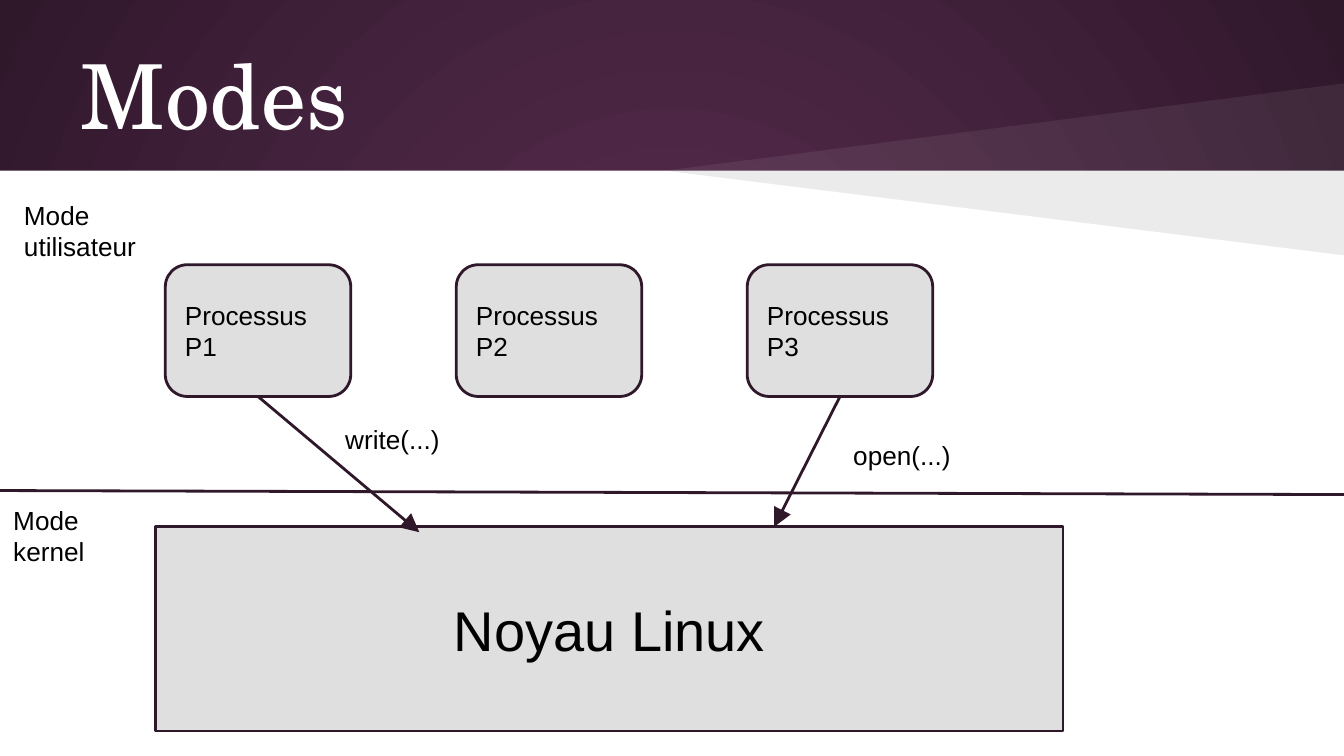
from dataclasses import dataclass

from lxml import etree
from pptx import Presentation
from pptx.dml.color import RGBColor
from pptx.enum.shapes import MSO_CONNECTOR, MSO_SHAPE
from pptx.enum.text import MSO_ANCHOR, MSO_AUTO_SIZE, PP_ALIGN
from pptx.oxml.ns import qn
from pptx.util import Inches, Pt

LEFT, CENTER = PP_ALIGN.LEFT, PP_ALIGN.CENTER
TOP, MIDDLE = MSO_ANCHOR.TOP, MSO_ANCHOR.MIDDLE
BOTTOM_SITE = 2


@dataclass(frozen=True)
class Theme:
    """Colours, fonts and sizes of the slide."""
    glow: str = "592D50"
    plum: str = "30182B"
    box: str = "DFDFDF"
    white: str = "FFFFFF"
    black: str = "000000"
    title_font: str = "TeX Gyre Schola"
    body_font: str = "Arial"
    title_size: int = 48
    kernel_size: int = 30
    body_size: int = 14
    line_width: float = 1.5


theme = Theme()


def write_text(sp, text, size=theme.body_size, font=theme.body_font,
               color=theme.black, align=LEFT, anchor=MIDDLE):
    """Put one formatted run into a shape."""
    tf = sp.text_frame
    tf.word_wrap = True
    tf.auto_size = MSO_AUTO_SIZE.NONE
    tf.vertical_anchor = anchor
    tf.margin_left = tf.margin_right = tf.margin_top = tf.margin_bottom = Inches(0.1)
    p = tf.paragraphs[0]
    p.alignment = align
    r = p.add_run()
    r.text = text
    r.font.size = Pt(size)
    r.font.name = font
    r.font.color.rgb = RGBColor.from_string(color)


def paint(sp, fill=None, line=None):
    """Set the fill and outline of a shape or connector, without shadow."""
    if line:
        sp.line.color.rgb = RGBColor.from_string(line)
        sp.line.width = Pt(theme.line_width)
    else:
        sp.line.fill.background()
    if fill:
        sp.fill.solid()
        sp.fill.fore_color.rgb = RGBColor.from_string(fill)
        sp.shadow.inherit = False
    else:
        etree.SubElement(sp.element.spPr, qn("a:effectLst"))


prs = Presentation()
prs.slide_width, prs.slide_height = Inches(10), Inches(10) * 9 // 16
s = prs.slides.add_slide(prs.slide_layouts[5])

# Radial background
bg = s.background.fill
bg.gradient()
for stop, color, position in zip(bg.gradient_stops, (theme.glow, theme.plum), (0, 1)):
    stop.color.rgb = RGBColor.from_string(color)
    stop.position = position
lin = next(s.element.iter(qn("a:lin")))
radial = etree.SubElement(lin.getparent(), qn("a:path"), path="circle")
etree.SubElement(radial, qn("a:fillToRect"), l="50000", t="50000", r="50000", b="50000")
lin.getparent().remove(lin)

# White body and the two translucent wedges
horizon = Inches(1.27)
body = s.shapes.add_shape(MSO_SHAPE.RECTANGLE, 0, horizon, prs.slide_width,
                          prs.slide_height - horizon)
paint(body, theme.white)
for tip_y, color, opacity in ((0.62, theme.white, 7), (1.9, theme.black, 8)):
    fb = s.shapes.build_freeform(Inches(10), horizon)
    fb.add_line_segments([(Inches(4.95), horizon), (Inches(10), Inches(tip_y))])
    wedge = fb.convert_to_shape()
    paint(wedge, color)
    srgb = next(wedge.element.spPr.iter(qn("a:srgbClr")))
    etree.SubElement(srgb, qn("a:alpha"), val=str(opacity * 1000))

# Title, brought in front of the backdrop
title = s.shapes.title
title.left, title.top, title.width, title.height = map(Inches, (0.5, 0.23, 9, 0.94))
write_text(title, "Modes", theme.title_size, theme.title_font, theme.white)
title.element.getparent().append(title.element)

# Processes
processes = []
for i in range(3):
    process = s.shapes.add_shape(MSO_SHAPE.ROUNDED_RECTANGLE, Inches(1.23 + i * 2.165),
                                 Inches(1.97), Inches(1.38), Inches(0.98))
    paint(process, theme.box, theme.plum)
    write_text(process, f"Processus P{i + 1}")
    processes.append(process)

# Kernel
kernel = s.shapes.add_shape(MSO_SHAPE.RECTANGLE, Inches(1.16), Inches(3.92),
                            Inches(6.75), Inches(1.52))
paint(kernel, theme.box, theme.plum)
write_text(kernel, "Noyau Linux", theme.kernel_size, align=CENTER)

# Boundary between the modes, then the system calls
for source, x1, y1, x2, y2 in ((None, 0, 3.65, 10.01, 3.68),
                               (processes[0], 1.92, 2.95, 3.12, 3.96),
                               (processes[2], 6.25, 2.95, 5.76, 3.92)):
    link = s.shapes.add_connector(MSO_CONNECTOR.STRAIGHT, Inches(x1), Inches(y1),
                                  Inches(x2), Inches(y2))
    paint(link, line=theme.plum)
    if source:
        link.begin_connect(source, BOTTOM_SITE)
        ln = link.element.spPr.find(qn("a:ln"))
        etree.SubElement(ln, qn("a:tailEnd"), type="triangle", w="lg", len="lg")

# Labels
for text, x, y, w, h in (("Mode utilisateur", 0.08, 1.38, 1.11, 0.59),
                         ("Mode kernel", 0, 3.65, 1.11, 0.59),
                         ("write(...)", 2.47, 3.05, 1.25, 0.26),
                         ("open(...)", 6.25, 3.17, 1.25, 0.26)):
    label = s.shapes.add_textbox(Inches(x), Inches(y), Inches(w), Inches(h))
    write_text(label, text, anchor=TOP)

prs.save("out.pptx")
